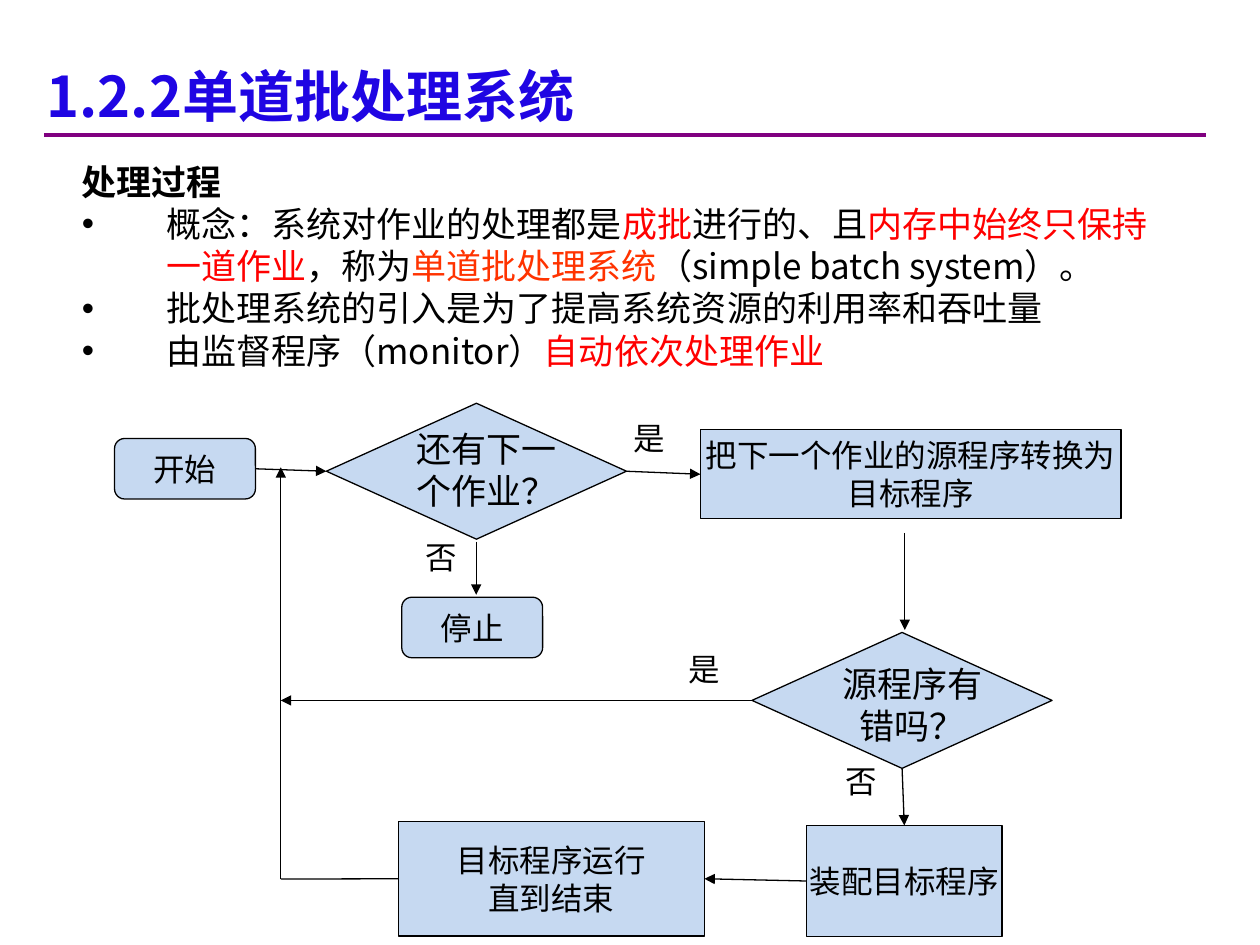
from lxml.etree import SubElement as Sub
from pptx import Presentation
from pptx.dml.color import RGBColor
from pptx.enum.shapes import MSO_CONNECTOR as Line, MSO_SHAPE as Form
from pptx.enum.text import MSO_ANCHOR as Anchor, PP_ALIGN as Align
from pptx.oxml.ns import qn
from pptx.util import Cm, Pt

SANS, KARLA = "Noto Sans CJK SC", "Karla"
BLACK, RED, ORANGE = "000000", "FF0000", "FF3300"
BLUE, PURPLE, PALE = "1F05E3", "800080", "C6D9F1"
TOP, LEFT, BOTTOM, RIGHT = range(4)


def color(code):
    """Turn a hex string into a colour."""
    return RGBColor.from_string(code)


def write(para, text, size=18, face=KARLA, code=BLACK, bold=False):
    """Add one formatted run to a paragraph."""
    run = para.add_run()
    run.text = text
    font = run.font
    font.size, font.name, font.bold = Pt(size), face, bold
    font.color.rgb = color(code)
    Sub(font._element, qn("a:ea"), typeface=SANS)


def indent(para, size, mark=None, tab=None):
    """Give a paragraph a hanging indent, with a bullet or a tab stop."""
    props = para._p.get_or_add_pPr()
    props.set("marL", str(Cm(size)))
    props.set("indent", str(-Cm(size)))
    if mark:
        Sub(props, qn("a:buFont"), typeface="Arial")
        Sub(props, qn("a:buChar"), char=mark)
    else:
        Sub(props, qn("a:buNone"))
    if tab:
        stops = Sub(props, qn("a:tabLst"))
        Sub(stops, qn("a:tab"), pos=str(Cm(tab)), algn="l")


def add_text(slide, x, y, w, h):
    """Add a wrapping text box and return its frame."""
    frame = slide.shapes.add_textbox(Cm(x), Cm(y), Cm(w), Cm(h)).text_frame
    frame.word_wrap = True
    return frame


def label(slide, text, x, y, w=1.5, h=1.02, size=18, align=Align.LEFT):
    """Add a one-paragraph label."""
    para = add_text(slide, x, y, w, h).paragraphs[0]
    para.alignment = align
    write(para, text, size=size)


def add_node(slide, form, x, y, w, h, lines=(), wrap=True):
    """Add a flowchart shape with centred lines of text."""
    node = slide.shapes.add_shape(form, Cm(x), Cm(y), Cm(w), Cm(h))
    node.shadow.inherit = False
    node.fill.solid()
    node.fill.fore_color.rgb = color(PALE)
    node.line.color.rgb = color(BLACK)
    node.line.width = Pt(0.75)
    frame = node.text_frame
    frame.word_wrap = wrap
    frame.vertical_anchor = Anchor.MIDDLE
    frame.margin_left = frame.margin_right = Cm(0.05)
    for i, text in enumerate(lines):
        para = frame.add_paragraph() if i else frame.paragraphs[0]
        para.alignment = Align.CENTER
        write(para, text)
    return node


def choice(slide, text, x, y, drop):
    """Add a decision diamond with its question on top."""
    node = add_node(slide, Form.FLOWCHART_DECISION, x, y, 6.05, 2.74)
    label(slide, text, x + 1.37, y + drop, 3.73, 1.96, 20, Align.CENTER)
    return node


def link(slide, start, end, code=BLACK, width=0.75, head=True):
    """Join two ends, each a point or a (shape, site) pair."""
    spots = [(0, 0) if hasattr(p[0], "shape_id") else p for p in (start, end)]
    (x1, y1), (x2, y2) = spots
    line = slide.shapes.add_connector(
        Line.STRAIGHT, Cm(x1), Cm(y1), Cm(x2), Cm(y2))
    for spot, join in ((start, line.begin_connect), (end, line.end_connect)):
        if hasattr(spot[0], "shape_id"):
            join(*spot)
    line.line.color.rgb = color(code)
    line.line.width = Pt(width)
    if head:
        Sub(line.line._get_or_add_ln(), qn("a:tailEnd"), type="triangle")
    Sub(line._element.spPr, qn("a:effectLst"))


def add_head(slide):
    """Add the title and its rule."""
    para = add_text(slide, 0.69, 1.12, 17.2, 1.65).paragraphs[0]
    indent(para, 1.47, tab=3.5)
    write(para, "1.2.2\t单道批处理系统", 32, SANS, BLUE, True)
    link(slide, (0.89, 2.72), (24.31, 2.72), PURPLE, 2.25, False)


def add_body(slide):
    """Add the heading and the bulleted points."""
    frame = add_text(slide, 1.4, 3.12, 22.4, 4.8)
    para = frame.paragraphs[0]
    indent(para, 1.7)
    write(para, "处理过程", 20, SANS, bold=True)
    points = [
        [("概念：系统对作业的处理都是", BLACK), ("成批", RED),
         ("进行的、且", BLACK), ("内存中始终只保持一道作业", RED),
         ("，称为", BLACK), ("单道批处理系统", ORANGE),
         ("（simple batch system）。", BLACK)],
        [("批处理系统的引入是为了提高系统资源的利用率和吞吐量", BLACK)],
        [("由监督程序（monitor）", BLACK), ("自动依次处理作业", RED)],
    ]
    for point in points:
        para = frame.add_paragraph()
        indent(para, 1.7, mark="•")
        for text, code in point:
            write(para, text, 20, SANS, code)


def add_flow(slide):
    """Add the flowchart."""
    pill, box = Form.FLOWCHART_ALTERNATE_PROCESS, Form.FLOWCHART_PROCESS
    begin = add_node(slide, pill, 2.31, 8.84, 2.84, 1.22, ["开始"], False)
    more = choice(slide, "还有下一个作业？", 6.58, 8.13, 0.36)
    add_node(slide, pill, 8.1, 12.04, 2.84, 1.22, ["停止"], False)
    build = add_node(slide, box, 14.12, 8.66, 8.48, 1.8,
                     ["把下一个作业的源程序转换为目标程序"])
    check = choice(slide, "源程序有错吗？", 15.16, 12.75, 0.48)
    load = add_node(slide, box, 16.26, 16.64, 3.94, 2.24, ["装配目标程序"])
    work = add_node(slide, box, 8.03, 16.56, 6.17, 2.31,
                    ["目标程序运行", "直到结束"], False)

    link(slide, (begin, RIGHT), (more, LEFT))
    link(slide, (9.6, 10.92), (9.6, 11.99))
    link(slide, (more, RIGHT), (build, LEFT))
    link(slide, (18.24, 10.74), (18.24, 12.7))
    link(slide, (check, LEFT), (5.66, 14.12))
    link(slide, (check, BOTTOM), (load, TOP))
    link(slide, (load, LEFT), (work, RIGHT))
    link(slide, (work, LEFT), (5.66, 17.72), head=False)
    link(slide, (5.66, 17.72), (5.66, 9.42))

    for text, x, y in [("否", 8.33, 10.72), ("是", 12.52, 8.33),
                       ("是", 13.64, 12.98), ("否", 16.79, 15.24)]:
        label(slide, text, x, y)


def main():
    """Build the slide and save it."""
    deck = Presentation()
    deck.slide_width, deck.slide_height = Cm(25.4), Cm(19.05)
    slide = deck.slides.add_slide(deck.slide_layouts[6])
    add_head(slide)
    add_body(slide)
    add_flow(slide)
    deck.save("out.pptx")


if __name__ == "__main__":
    main()
